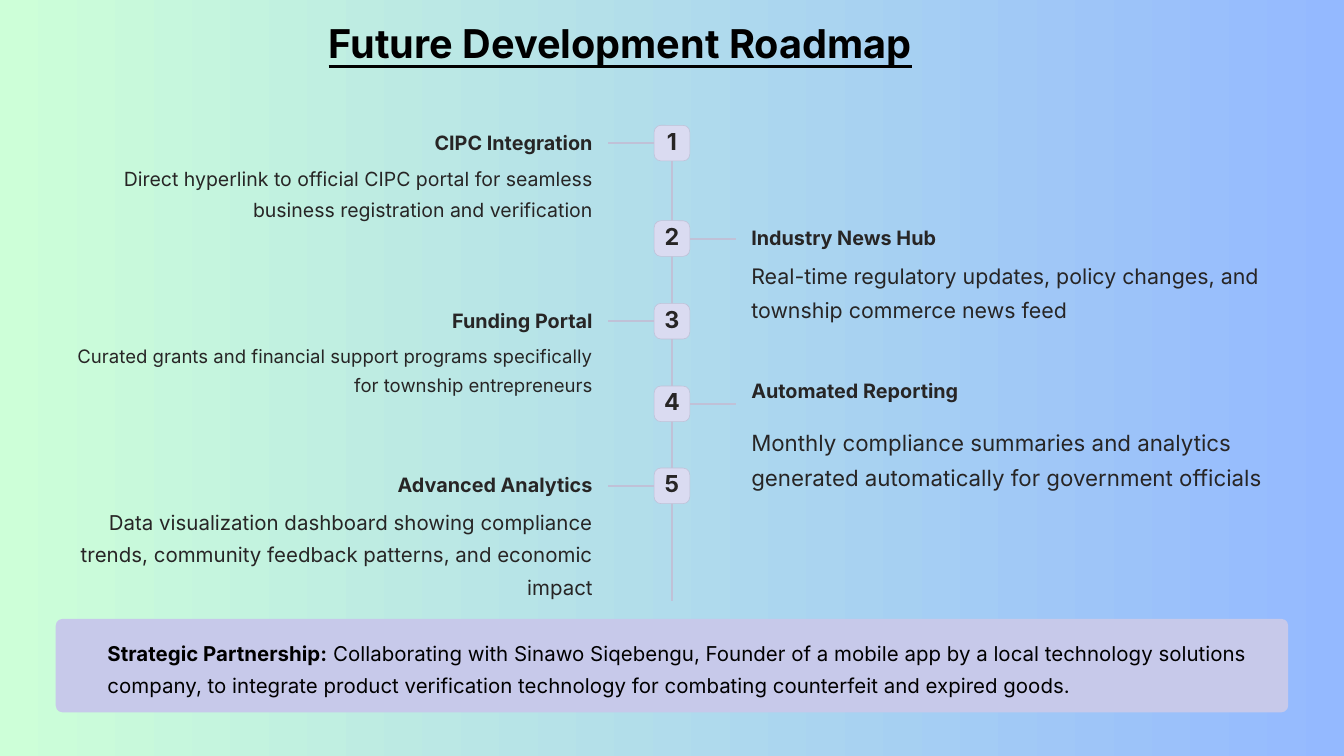
import pptx
import pptx.util
from lxml import etree
from pptx.dml.color import RGBColor
from pptx.enum.shapes import MSO_CONNECTOR, MSO_SHAPE
from pptx.enum.text import MSO_ANCHOR, PP_ALIGN
from pptx.oxml.ns import qn

TITLE = "Future Development Roadmap"
# heading, description, description size, side, badge centre y, heading rise above it
STEPS = [
    ("CIPC Integration",
     "Direct hyperlink to official CIPC portal for seamless business registration and verification",
     20.9, "left", 2.13, 0.2),
    ("Industry News Hub",
     "Real-time regulatory updates, policy changes, and township commerce news feed",
     22.9, "right", 3.55, 0.2),
    ("Funding Portal",
     "Curated grants and financial support programs specifically for township entrepreneurs",
     19.9, "left", 4.78, 0.2),
    ("Automated Reporting",
     "Monthly compliance summaries and analytics generated automatically for government officials",
     23.9, "right", 6.01, 0.39),
    ("Advanced Analytics",
     "Data visualization dashboard showing compliance trends, community feedback patterns, "
     "and economic impact",
     21.9, "left", 7.23, 0.2),
]
PARTNERSHIP = [
    ("Strategic Partnership:", True),
    (" Collaborating with Sinawo Siqebengu, Founder of a mobile app by a local technology "
     "solutions company, to integrate product verification technology for combating "
     "counterfeit and expired goods.", False),
]

FONT = "Inter"
MINT = RGBColor(0xCD, 0xFF, 0xD8)
BLUE = RGBColor(0x94, 0xB9, 0xFF)
BLACK = RGBColor(0, 0, 0)
INK = RGBColor(0x27, 0x25, 0x25)
LINE = RGBColor(0xC0, 0xC1, 0xD7)
BADGE = RGBColor(0xDA, 0xDB, 0xF1)
PANEL = RGBColor(0xC7, 0xC9, 0xEA)

WIDTH, HEIGHT = 20, 11.25
MID = WIDTH / 2
MARGIN = 0.83
BADGE_SIZE = 0.53
CORNER = 0.1
STUB_NEAR, STUB_FAR = 0.24, 0.95
TEXT_GAP = 1.18
BODY_WIDTH, HEADING_WIDTH = 7.99, 3.1
BODY_DROP = 0.24
BODY_LEADING = 1.59

Inches, Pt = pptx.util.Inches, pptx.util.Pt


def add_box(kind, x, y, w, h):
    s = slide.shapes.add_shape(kind, Inches(x), Inches(y), Inches(w), Inches(h))
    s.shadow.inherit = False
    s.line.fill.background()
    if kind == MSO_SHAPE.ROUNDED_RECTANGLE:
        s.adjustments[0] = CORNER / min(w, h)
    return s


def fill_solid(s, color):
    s.fill.solid()
    s.fill.fore_color.rgb = color


def add_line(x1, y1, x2, y2):
    c = slide.shapes.add_connector(MSO_CONNECTOR.STRAIGHT, Inches(x1), Inches(y1),
                                   Inches(x2), Inches(y2))
    c.line.color.rgb = LINE
    c.line.width = Pt(2.25)
    etree.SubElement(c._element.spPr, qn("a:effectLst"))


def write(s, runs, size, leading, color=INK, align=PP_ALIGN.LEFT, underline=None):
    """Fill a shape with one paragraph of (text, bold) runs."""
    tf = s.text_frame
    tf.word_wrap = True
    tf.margin_left = tf.margin_right = tf.margin_top = tf.margin_bottom = 0
    p = tf.paragraphs[0]
    p.alignment = align
    p.line_spacing = Pt(leading)
    p.font.name = FONT
    p.font.size = Pt(size)
    p.font.color.rgb = color
    p.font.underline = underline
    for text, bold in runs:
        r = p.add_run()
        r.text = text
        r.font.bold = bold


def add_text(x, y, w, h, *args, **kwargs):
    s = slide.shapes.add_textbox(Inches(x), Inches(y), Inches(w), Inches(h))
    write(s, *args, **kwargs)


prs = pptx.Presentation()
prs.slide_width, prs.slide_height = Inches(WIDTH), Inches(HEIGHT)
slide = prs.slides.add_slide(prs.slide_layouts[6])

backdrop = add_box(MSO_SHAPE.RECTANGLE, 0, 0, WIDTH, HEIGHT)
backdrop.fill.gradient()
backdrop.fill.gradient_angle = 0
for stop, color, position in zip(backdrop.fill.gradient_stops, (MINT, BLUE), (0, 1)):
    stop.color.rgb = color
    stop.position = position

add_text(4.89, 0.25, 10.77, 0.74, [(TITLE, True)], 42.5, 53.1, BLACK, underline=True)
add_line(MID, 1.87, MID, 8.94)

for number, (heading, body, size, side, y, rise) in enumerate(STEPS, 1):
    direction = -1 if side == "left" else 1
    align = PP_ALIGN.RIGHT if side == "left" else PP_ALIGN.LEFT
    add_line(MID + direction * STUB_NEAR, y, MID + direction * STUB_FAR, y)

    badge = add_box(MSO_SHAPE.ROUNDED_RECTANGLE, MID - BADGE_SIZE / 2, y - BADGE_SIZE / 2,
                    BADGE_SIZE, BADGE_SIZE)
    fill_solid(badge, BADGE)
    badge.line.color.rgb = LINE
    badge.line.width = Pt(0.6)
    write(badge, [(str(number), True)], 25, 25, align=PP_ALIGN.CENTER)
    badge.text_frame.vertical_anchor = MSO_ANCHOR.MIDDLE

    edge = MID + direction * TEXT_GAP
    for text, bold, pt, leading, top, w, h in (
        (heading, True, 21.2, 26.2, y - rise, HEADING_WIDTH, 0.39),
        (body, False, size, size * BODY_LEADING, y + BODY_DROP, BODY_WIDTH, 0.98),
    ):
        left = edge - w if side == "left" else edge
        add_text(left, top, w, h, [(text, bold)], pt, leading, align=align)

panel = add_box(MSO_SHAPE.ROUNDED_RECTANGLE, MARGIN, 9.21, WIDTH - 2 * MARGIN, 1.39)
fill_solid(panel, PANEL)
add_text(1.6, 9.42, 17.33, 0.92, PARTNERSHIP, 21.9, 34.8, BLACK)

prs.save("out.pptx")
